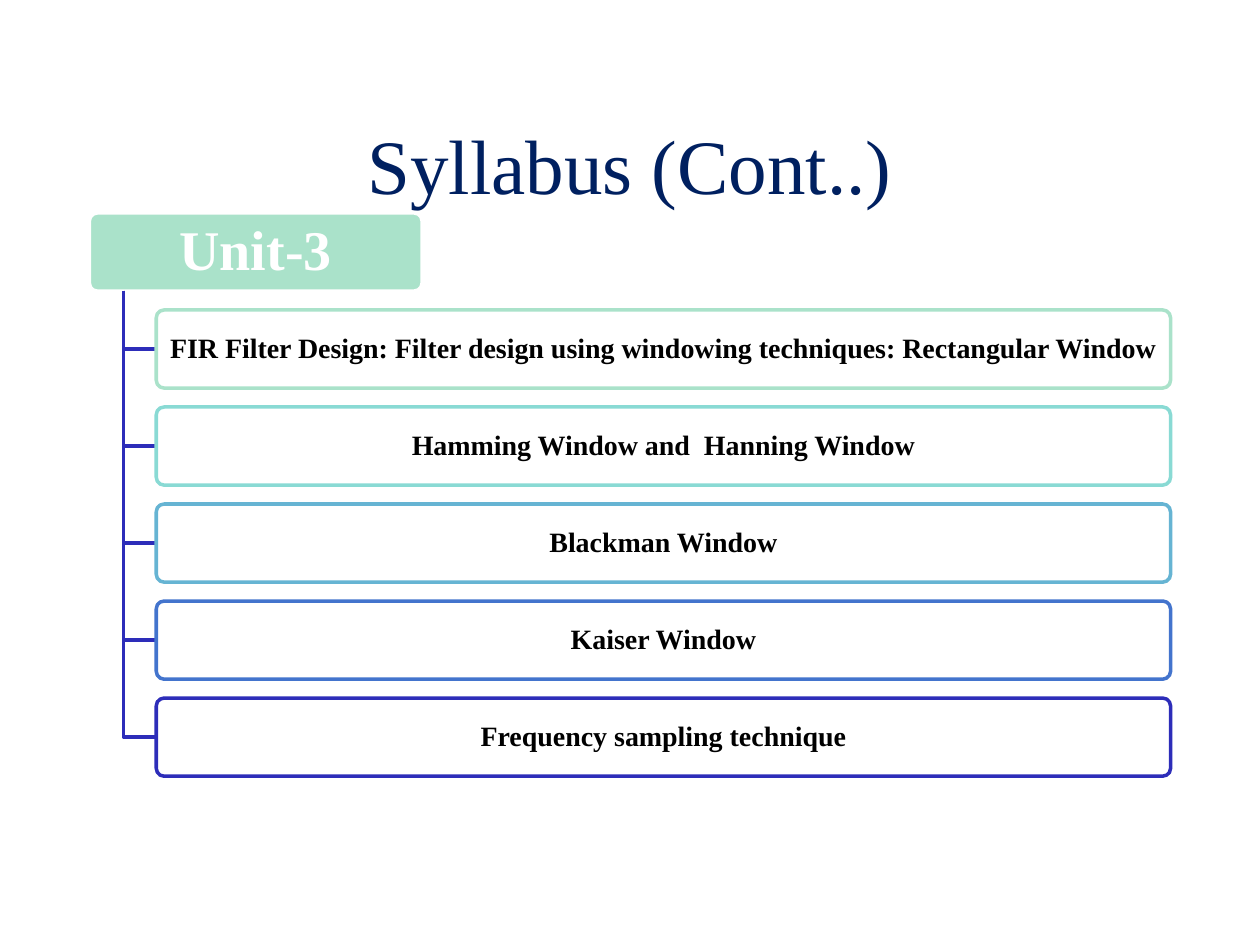
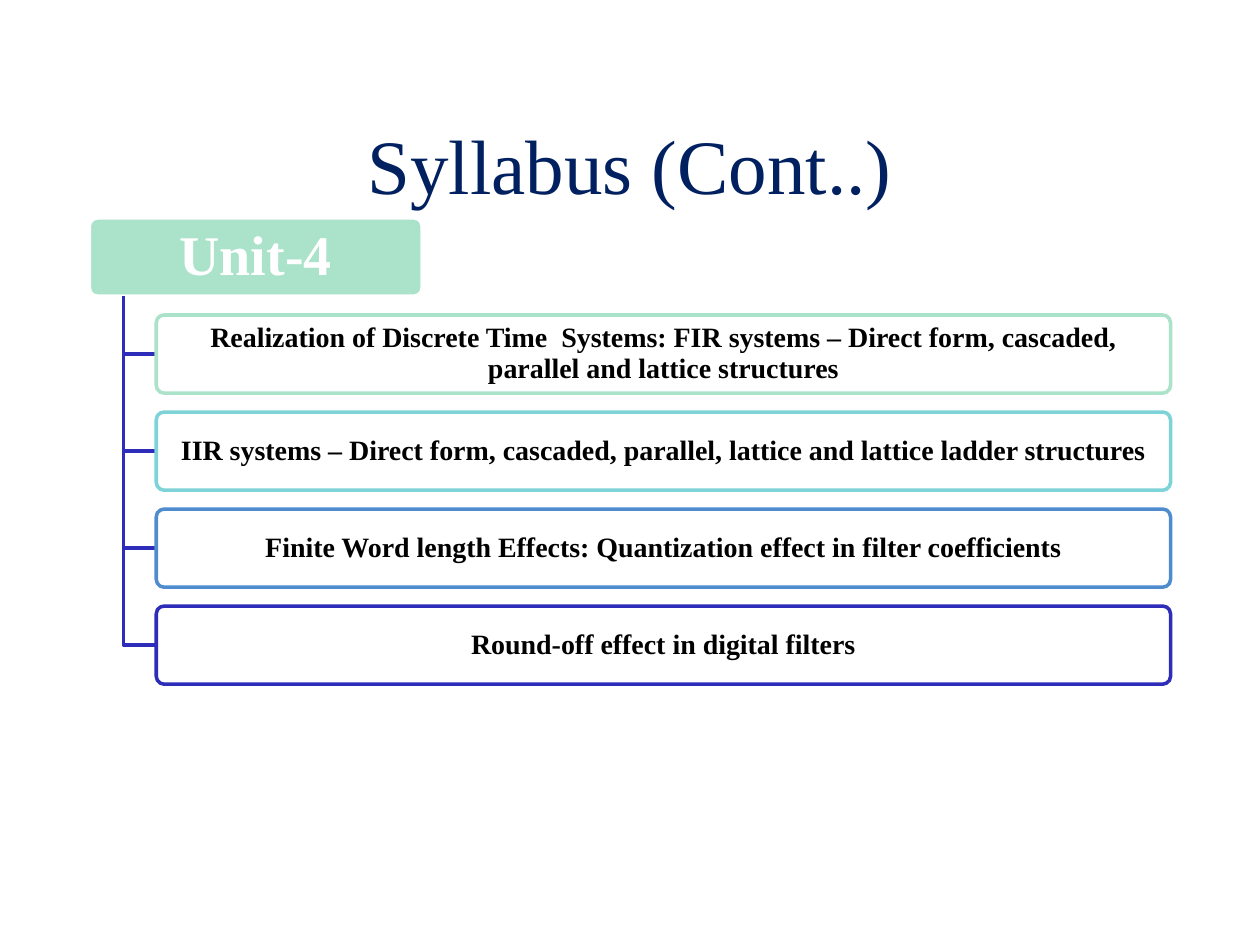
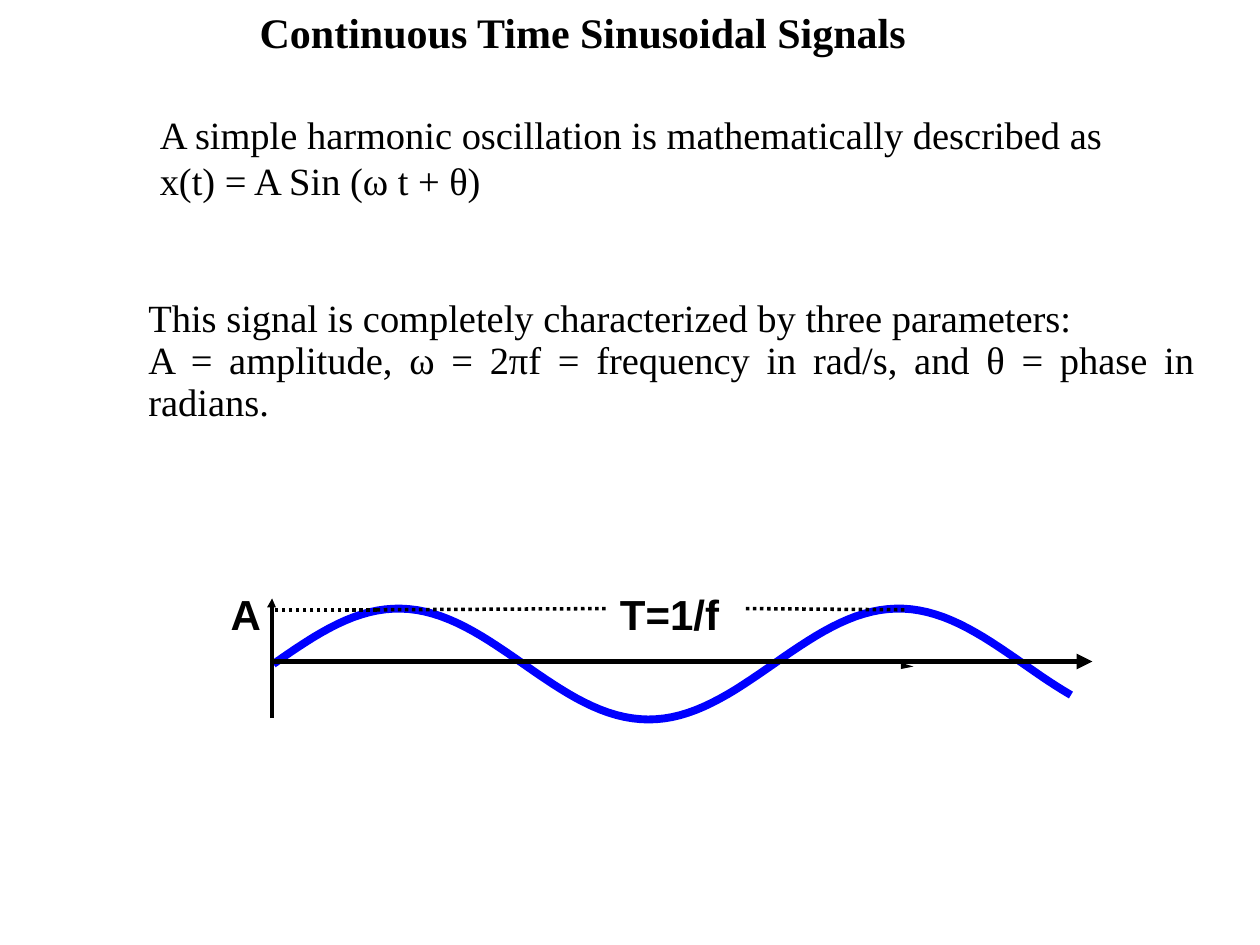
import math
from dataclasses import dataclass

import pptx
import pptx.dml.color
import pptx.enum.dml
import pptx.enum.shapes
import pptx.enum.text
import pptx.oxml
import pptx.oxml.ns
import pptx.util

PX = 9144  # EMU per px, 100 px to the inch
ALIGN = pptx.enum.text.PP_ALIGN
ANCHOR = pptx.enum.text.MSO_ANCHOR


@dataclass(frozen=True)
class Theme:
    serif: str = "Times New Roman"
    sans: str = "Arial"
    navy: str = "002060"
    black: str = "000000"
    white: str = "FFFFFF"
    mint: str = "AAE2CA"
    indigo: str = "2D2DB9"
    wave: str = "0000FF"
    title_size: int = 44
    unit_size: int = 32
    heading_size: int = 24
    body_size: int = 22
    topic_size: int = 16
    hairline: int = 0
    outline: int = 2
    axis: int = 3
    wave_width: float = 4.5


THEME = Theme()


def px(length):
    return pptx.util.Emu(round(length * PX))


def rgb(color):
    return pptx.dml.color.RGBColor.from_string(color)


def set_line(shape, color, width):
    shape.line.color.rgb = rgb(color)
    shape.line.width = pptx.util.Pt(width)


def set_text(shape, lines, size, color=THEME.black, font=THEME.serif, bold=False,
             align=ALIGN.LEFT, anchor=ANCHOR.TOP, insets=(10, 5), spacing=1.0,
             indent=0, wrap=True):
    frame = shape.text_frame
    frame.text = "\n".join(lines)
    frame.word_wrap = wrap
    frame.vertical_anchor = anchor
    frame.margin_left = frame.margin_right = px(insets[0])
    frame.margin_top = frame.margin_bottom = px(insets[1])
    for paragraph in frame.paragraphs:
        paragraph.alignment = align
        paragraph.line_spacing = spacing
        if indent:
            paragraph._p.get_or_add_pPr().set("marL", str(px(indent)))
        for run in paragraph.runs:
            run.font.name = font
            run.font.size = pptx.util.Pt(size)
            run.font.bold = bold
            run.font.color.rgb = rgb(color)


def add_text(slide, box, lines, size, **style):
    shape = slide.shapes.add_textbox(*map(px, box))
    set_text(shape, lines, size, **style)


def add_card(slide, box, text, size, fill, line, color, insets):
    """Rounded box with bold centred text."""
    shape = slide.shapes.add_shape(
        pptx.enum.shapes.MSO_SHAPE.ROUNDED_RECTANGLE, *map(px, box))
    shape.adjustments[0] = 0.1
    shape.shadow.inherit = False
    shape.fill.solid()
    shape.fill.fore_color.rgb = rgb(fill)
    set_line(shape, line, THEME.outline)
    set_text(shape, [text], size, color=color, bold=True, align=ALIGN.CENTER,
             anchor=ANCHOR.MIDDLE, insets=insets, spacing=0.9)


def add_outline(slide, points, closed=False):
    """Freeform through points, without fill, line or shadow."""
    start, *rest = [(px(x), px(y)) for x, y in points]
    builder = slide.shapes.build_freeform(*start)
    builder.add_line_segments(rest, close=closed)
    shape = builder.convert_to_shape()
    shape.shadow.inherit = False
    shape.fill.background()
    shape.line.fill.background()
    return shape


def add_path(slide, points, color, width):
    set_line(add_outline(slide, points), color, width)


def add_arrowhead(slide, points):
    shape = add_outline(slide, points, closed=True)
    shape.fill.solid()
    shape.fill.fore_color.rgb = rgb(THEME.black)


def add_line(slide, start, end, width=THEME.hairline, dotted=False, arrow=False):
    connector = slide.shapes.add_connector(
        pptx.enum.shapes.MSO_CONNECTOR.STRAIGHT, *map(px, start + end))
    set_line(connector, THEME.black, width)
    if dotted:
        connector.line.dash_style = pptx.enum.dml.MSO_LINE.ROUND_DOT
    qn = pptx.oxml.ns.qn
    if arrow:
        tail = connector.line._get_or_add_ln().makeelement(
            qn("a:tailEnd"), {"type": "triangle"})
        connector.line._get_or_add_ln().append(tail)
    properties = connector._element.spPr
    properties.append(properties.makeelement(qn("a:effectLst"), {}))


def add_unit_slide(presentation, unit, top, topics):
    """Slide with a unit header and its topics, given as (text, outline colour)."""
    slide = presentation.slides.add_slide(presentation.slide_layouts[6])
    height, pitch, trunk_x, topic_x = 62, 77, 98, 124
    add_card(slide, (71, top, 264, height), unit, THEME.unit_size,
             THEME.mint, THEME.white, THEME.white, (7, 4))
    for row, (text, color) in enumerate(topics, start=1):
        topic_top = top + row * pitch
        middle = topic_top + height // 2
        add_path(slide, [(trunk_x, top + height), (trunk_x, middle), (topic_x, middle)],
                 THEME.indigo, THEME.outline)
        add_card(slide, (topic_x, topic_top, 805, height), text, THEME.topic_size,
                 THEME.white, color, THEME.black, (3, 2))
    add_text(slide, (75, 67, 850, 125), ["Syllabus (Cont..)"], THEME.title_size,
             color=THEME.navy, align=ALIGN.CENTER, anchor=ANCHOR.MIDDLE)


def add_sine_wave(slide):
    left, width, middle, amplitude, period, steps = 217, 633, 527, 44, 397, 100
    offsets = [width * step / steps for step in range(steps + 1)]
    points = [(left + offset, middle - amplitude * math.sin(math.tau * offset / period))
              for offset in offsets]
    add_path(slide, points, THEME.wave, THEME.wave_width)


def add_signal_slide(presentation):
    slide = presentation.slides.add_slide(presentation.slide_layouts[6])
    add_text(slide, (0, 0, 925, 617), ["Continuous Time Sinusoidal Signals"],
             THEME.heading_size, bold=True, align=ALIGN.CENTER)
    add_text(slide, (67, 83, 867, 125),
             ["A simple harmonic oscillation is mathematically described as",
              "x(t) = A Sin (ω t + θ)"],
             THEME.body_size, align=ALIGN.JUSTIFY, indent=50)
    add_text(slide, (58, 233, 900, 110),
             ["This signal is completely characterized by three parameters:",
              "A = amplitude, ω = 2πf = frequency in rad/s, and θ = phase in radians."],
             THEME.body_size, align=ALIGN.JUSTIFY, indent=50, spacing=0.9)

    add_sine_wave(slide)
    add_line(slide, (216, 570), (216, 482))
    add_arrowhead(slide, [(212, 482), (216, 475), (219, 482)])
    add_line(slide, (217, 525), (867, 525), THEME.axis, arrow=True)
    add_arrowhead(slide, [(715, 526), (725, 529), (715, 531)])
    for start, end in (((299, 484), (215, 484)),
                       ((299, 484), (483, 483)),
                       ((592, 483), (719, 484))):
        add_line(slide, start, end, dotted=True)
    for box, label in (((183, 467, 32, 40), "A"), ((492, 467, 86, 40), "T=1/f")):
        add_text(slide, box, [label], THEME.heading_size, font=THEME.sans,
                 bold=True, insets=(0, 0), wrap=False)


def main():
    presentation = pptx.Presentation()
    presentation.slide_width, presentation.slide_height = px(1000), px(750)
    add_unit_slide(presentation, "Unit-3", 169, [
        ("FIR Filter Design: Filter design using windowing techniques: Rectangular Window",
         THEME.mint),
        ("Hamming Window and  Hanning Window", "89DAD4"),
        ("Blackman Window", "66B4D3"),
        ("Kaiser Window", "4374CD"),
        ("Frequency sampling technique", THEME.indigo),
    ])
    add_unit_slide(presentation, "Unit-4", 173, [
        ("Realization of Discrete Time  Systems: FIR systems – Direct form, cascaded, "
         "parallel and lattice structures", THEME.mint),
        ("IIR systems – Direct form, cascaded, parallel, lattice and lattice ladder structures",
         "7DD3D7"),
        ("Finite Word length Effects: Quantization effect in filter coefficients", "4F8CCF"),
        ("Round-off effect in digital filters", THEME.indigo),
    ])
    add_signal_slide(presentation)
    presentation.save("out.pptx")


if __name__ == "__main__":
    main()
